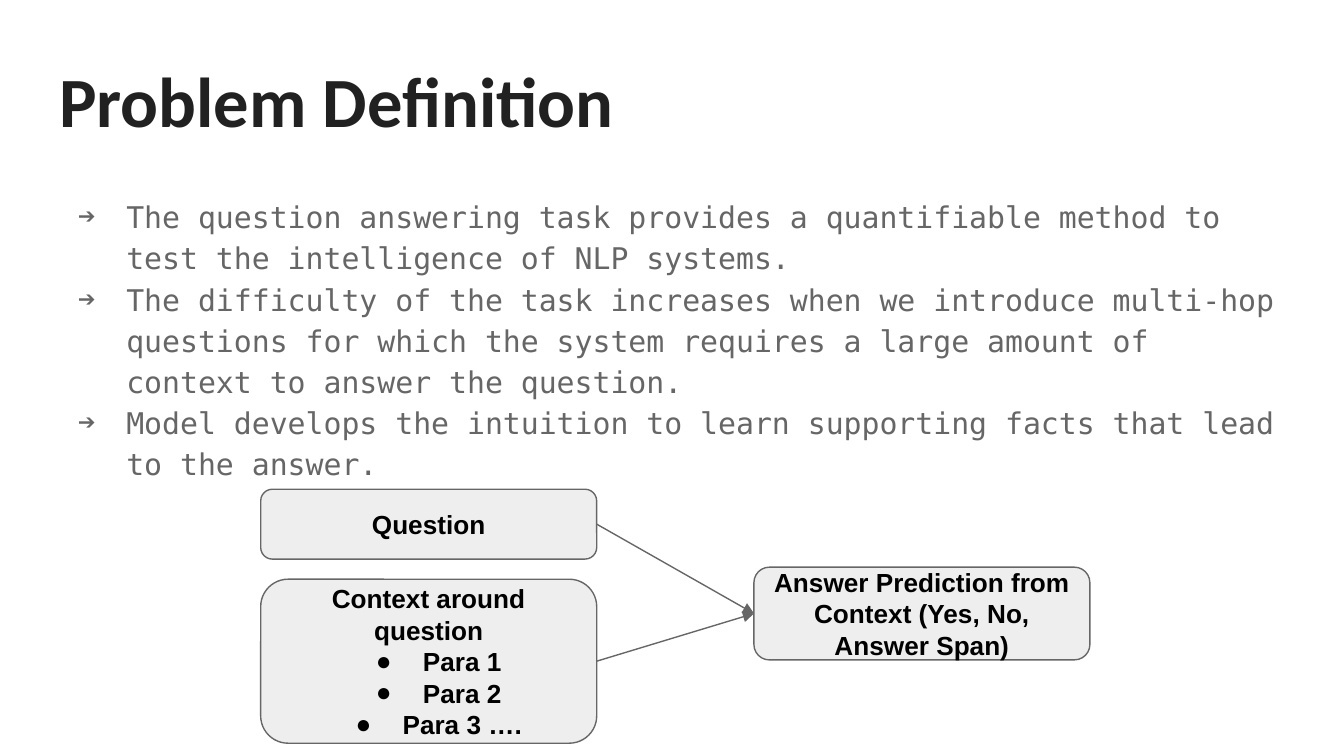
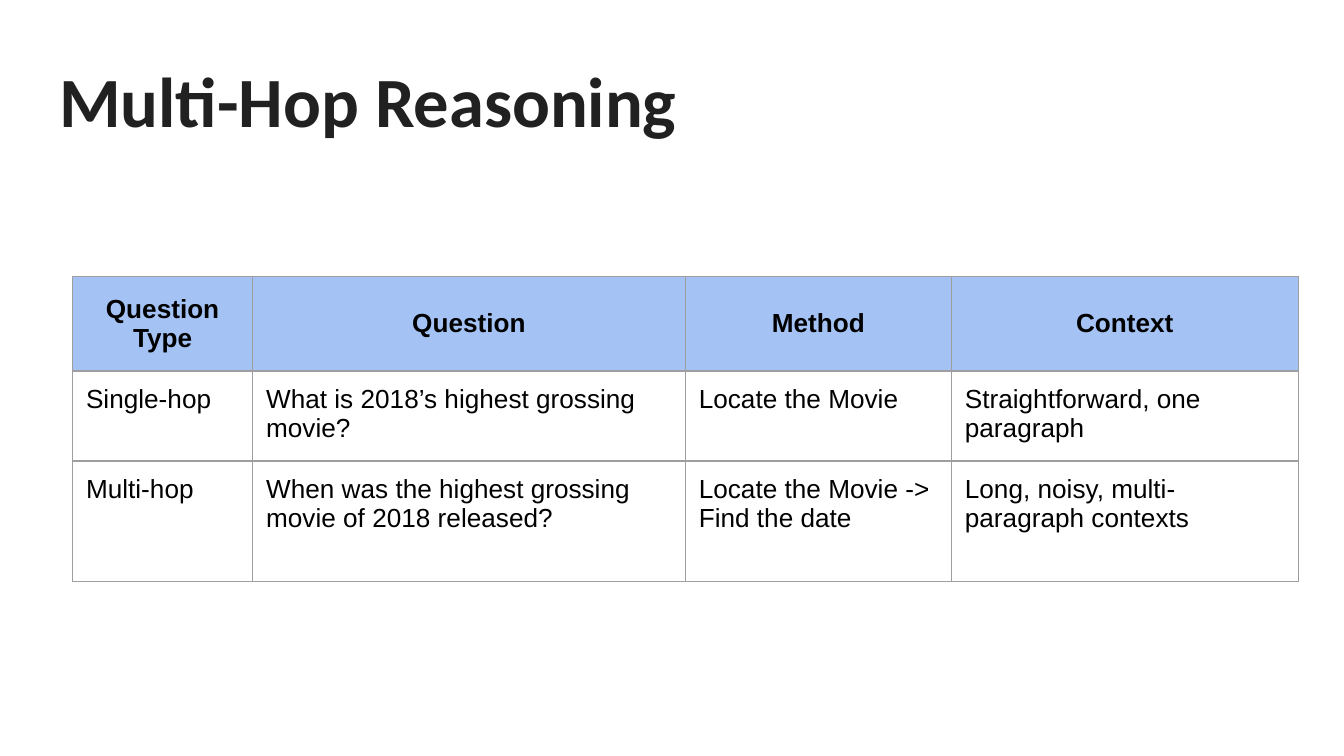
from dataclasses import dataclass

from pptx import Presentation
from pptx.dml.color import RGBColor
from pptx.enum import shapes, text
from pptx.oxml.ns import qn
from pptx.util import Inches, Pt
from lxml import etree


@dataclass(frozen=True)
class Theme:
    title_color: str = "212121"
    muted: str = "666666"
    ink: str = "000000"
    box_fill: str = "EEEEEE"
    header_fill: str = "A4C2F4"
    grid: str = "9E9E9E"
    background: str = "FFFFFF"
    title_font: str = "Calibri"
    body_font: str = "DejaVu Sans Mono"
    label_font: str = "Arial"
    title_size: float = 37.8
    body_size: float = 16
    label_size: float = 14
    line_width: float = 0.75
    inset: float = 0.1


@dataclass(frozen=True)
class Box:
    left: float
    top: float
    width: float
    height: float

    def inches(self):
        return [Inches(n) for n in (self.left, self.top, self.width, self.height)]

    def inner(self, left, top, width, height):
        """Return a box whose offset is measured from this one."""
        return Box(self.left + left, self.top + top, width, height)


THEME = Theme()
SLIDE_WIDTH = Inches(10)
SLIDE_HEIGHT = SLIDE_WIDTH * 9 // 16
TITLE_BOX = Box(0.34, 0.32, 9.32, 0.88)
BODY_BOX = Box(0.34, 1.34, 9.32, 3.65)
DIAGRAM_BOX = Box(1.94, 3.64, 6.17, 1.89)
TABLE_BOX = Box(0.54, 2.06, 9.12, 2.27)
TITLE_AND_BODY, TITLE_ONLY = 1, 5

POINTS = [
    "The question answering task provides a quantifiable method to test the "
    "intelligence of NLP systems.",
    "The difficulty of the task increases when we introduce multi-hop questions for "
    "which the system requires a large amount of context to answer the question.",
    "Model develops the intuition to learn supporting facts that lead to the answer.",
]
COLUMN_WIDTHS = [1.34, 3.22, 1.98, 2.58]
ROW_HEIGHTS = [0.7, 0.67, 0.9]
REASONING_ROWS = [
    ["Question Type", "Question", "Method", "Context"],
    ["Single-hop", "What is 2018’s highest grossing movie?", "Locate the Movie",
     "Straightforward, one paragraph"],
    ["Multi-hop", "When was the highest grossing movie of 2018 released?",
     "Locate the Movie -> Find the date", "Long, noisy, multi-paragraph contexts"],
]


def rgb(color):
    return RGBColor.from_string(color)


def add_element(parent, tag, **attributes):
    return etree.SubElement(parent, qn(tag), attributes)


def add_solid_fill(parent, color):
    add_element(add_element(parent, "a:solidFill"), "a:srgbClr", val=color)


def style_font(paragraph, name, size, color, bold=False):
    font = paragraph.font
    font.name, font.size, font.bold = name, Pt(size), bold
    font.color.rgb = rgb(color)


def style_label(paragraph, bold=True, alignment=text.PP_ALIGN.CENTER):
    paragraph.alignment = alignment
    style_font(paragraph, THEME.label_font, THEME.label_size, THEME.ink, bold)


def set_bullet(paragraph, character, color, hanging):
    properties = paragraph._p.get_or_add_pPr()
    properties.set("marL", str(Inches(0.5)))
    properties.set("indent", str(-Inches(hanging)))
    bullet_color = etree.Element(qn("a:buClr"))
    add_element(bullet_color, "a:srgbClr", val=color)
    bullet_font = etree.Element(qn("a:buFont"), typeface=paragraph.font.name)
    bullet = etree.Element(qn("a:buChar"), char=character)
    run_defaults = properties.find(qn("a:defRPr"))
    for element in (bullet_color, bullet_font, bullet):
        run_defaults.addprevious(element)


def set_margins(target):
    """Apply the common inset to a text frame or a table cell."""
    target.margin_left = target.margin_right = Inches(THEME.inset)
    target.margin_top = target.margin_bottom = Inches(THEME.inset)


def fill_frame(frame, lines, anchor):
    frame.text = "\n".join(lines)
    frame.word_wrap = True
    frame.auto_size = text.MSO_AUTO_SIZE.NONE
    frame.vertical_anchor = anchor
    set_margins(frame)
    return frame.paragraphs


def place(shape, box):
    shape.left, shape.top, shape.width, shape.height = box.inches()


def add_titled_slide(presentation, layout, title):
    slide = presentation.slides.add_slide(presentation.slide_layouts[layout])
    slide.background.fill.solid()
    slide.background.fill.fore_color.rgb = rgb(THEME.background)
    shape = slide.shapes.title
    place(shape, TITLE_BOX)
    paragraph, = fill_frame(shape.text_frame, [title], text.MSO_ANCHOR.TOP)
    paragraph.alignment = text.PP_ALIGN.LEFT
    style_font(paragraph, THEME.title_font, THEME.title_size, THEME.title_color, True)
    return slide


def fill_body(slide, box, points):
    body = slide.placeholders[1]
    place(body, box)
    for paragraph in fill_frame(body.text_frame, points, text.MSO_ANCHOR.TOP):
        paragraph.line_spacing = 1.15
        paragraph.space_before = Pt(0)
        style_font(paragraph, THEME.body_font, THEME.body_size, THEME.muted)
        set_bullet(paragraph, "➔", THEME.muted, 0.36)


def add_node(slide, box, label, items=()):
    """Add a rounded box with a label and optional bulleted items."""
    node = slide.shapes.add_shape(shapes.MSO_SHAPE.ROUNDED_RECTANGLE, *box.inches())
    node.shadow.inherit = False
    node.fill.solid()
    node.fill.fore_color.rgb = rgb(THEME.box_fill)
    node.line.color.rgb = rgb(THEME.muted)
    node.line.width = Pt(THEME.line_width)
    paragraphs = fill_frame(node.text_frame, [label, *items], text.MSO_ANCHOR.MIDDLE)
    for paragraph in paragraphs:
        style_label(paragraph)
    for paragraph in paragraphs[1:]:
        set_bullet(paragraph, "●", THEME.ink, 0.35)
    return node


def add_arrow(slide, source, target):
    """Join the right side of source to the left side of target."""
    arrow = slide.shapes.add_connector(shapes.MSO_CONNECTOR.STRAIGHT, 0, 0, 0, 0)
    arrow.begin_connect(source, 3)
    arrow.end_connect(target, 1)
    arrow.line.color.rgb = rgb(THEME.muted)
    arrow.line.width = Pt(THEME.line_width)
    add_element(arrow.line._get_or_add_ln(), "a:tailEnd", type="triangle")
    add_element(arrow._element.spPr, "a:effectLst")


def add_answer_diagram(slide, box):
    node_width = 2.5
    question = add_node(slide, box.inner(0, 0, node_width, 0.52), "Question")
    context = add_node(slide, box.inner(0, 0.67, node_width, 1.22),
                       "Context around question", ["Para 1", "Para 2", "Para 3 …."])
    answer = add_node(slide, box.inner(box.width - node_width, 0.58, node_width, 0.69),
                      "Answer Prediction from Context (Yes, No, Answer Span)")
    for source in (question, context):
        add_arrow(slide, source, answer)


def add_cell_borders(cell):
    properties = cell._tc.get_or_add_tcPr()
    for side in ("L", "R", "T", "B"):
        line = add_element(properties, f"a:ln{side}", w=str(Pt(THEME.line_width)))
        add_solid_fill(line, THEME.grid)


def fill_cell(cell, content, is_header):
    cell.text = content
    set_margins(cell)
    add_cell_borders(cell)
    paragraph = cell.text_frame.paragraphs[0]
    if is_header:
        cell.vertical_anchor = text.MSO_ANCHOR.MIDDLE
        cell.fill.solid()
        cell.fill.fore_color.rgb = rgb(THEME.header_fill)
        style_label(paragraph)
    else:
        cell.vertical_anchor = text.MSO_ANCHOR.TOP
        cell.fill.background()
        style_label(paragraph, bold=False, alignment=text.PP_ALIGN.LEFT)


def add_reasoning_table(slide, box):
    table = slide.shapes.add_table(len(ROW_HEIGHTS), len(COLUMN_WIDTHS),
                                   *box.inches()).table
    table.horz_banding = False
    for column, width in zip(table.columns, COLUMN_WIDTHS):
        column.width = Inches(width)
    for row_index, (row, height) in enumerate(zip(table.rows, ROW_HEIGHTS)):
        row.height = Inches(height)
        for cell, content in zip(row.cells, REASONING_ROWS[row_index]):
            fill_cell(cell, content, is_header=row_index == 0)


def build_problem_slide(presentation):
    slide = add_titled_slide(presentation, TITLE_AND_BODY, "Problem Definition")
    fill_body(slide, BODY_BOX, POINTS)
    add_answer_diagram(slide, DIAGRAM_BOX)


def build_reasoning_slide(presentation):
    slide = add_titled_slide(presentation, TITLE_ONLY, "Multi-Hop Reasoning")
    add_reasoning_table(slide, TABLE_BOX)


def main():
    presentation = Presentation()
    presentation.slide_width = SLIDE_WIDTH
    presentation.slide_height = SLIDE_HEIGHT
    build_problem_slide(presentation)
    build_reasoning_slide(presentation)
    presentation.save("out.pptx")


if __name__ == "__main__":
    main()
